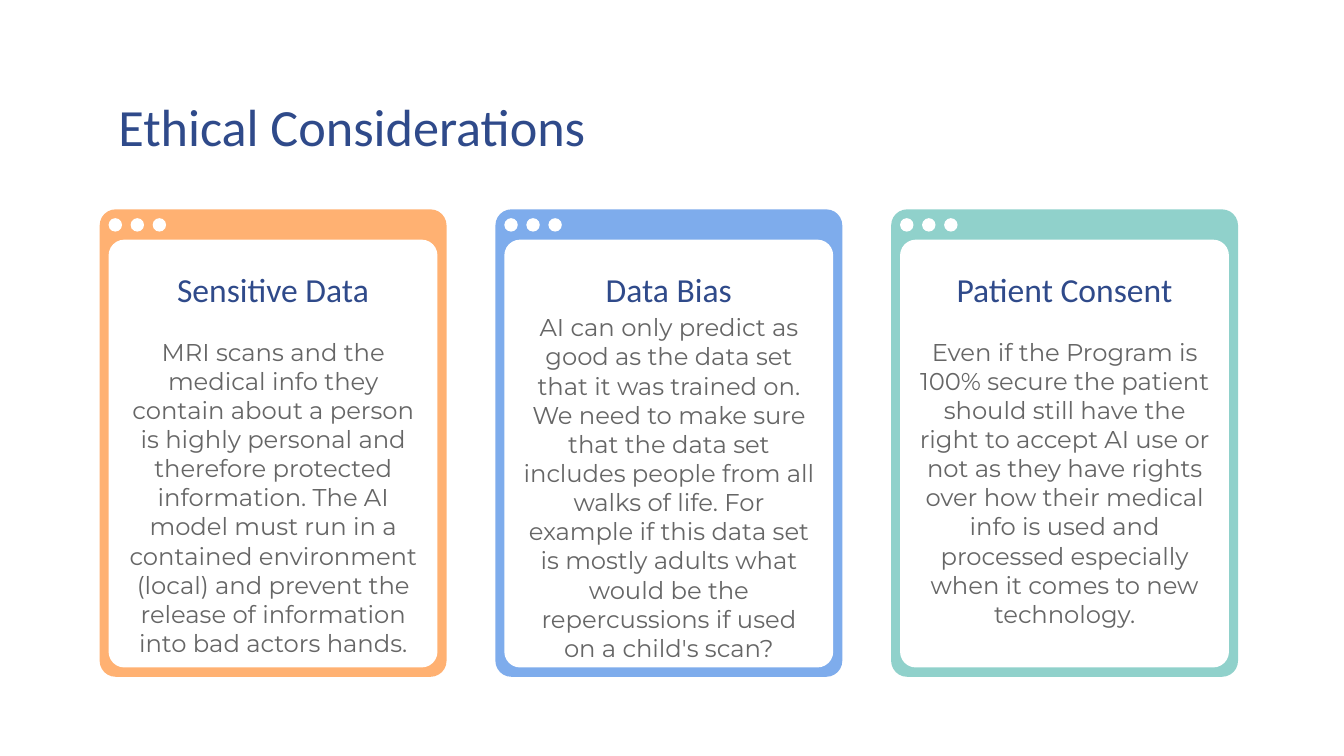
from pptx import Presentation
from pptx.dml.color import RGBColor
from pptx.enum.shapes import MSO_SHAPE as Shape
from pptx.enum.text import MSO_ANCHOR as Anchor, MSO_AUTO_SIZE as AutoSize, PP_ALIGN as Align
from pptx.util import Pt

NAVY = RGBColor(0x2F, 0x4A, 0x8A)
GREY = RGBColor(0x66, 0x66, 0x66)
WHITE = RGBColor(0xFF, 0xFF, 0xFF)
ORANGE = RGBColor(0xFF, 0xB1, 0x72)
BLUE = RGBColor(0x7E, 0xAC, 0xEC)
TEAL = RGBColor(0x90, 0xD1, 0xCB)

HEADING_FONT = "Calibri"
BODY_FONT = "Montserrat"

# Each card: frame colour, heading, body, distance from card top to body box
CARDS = [
    (ORANGE, "Sensitive Data",
     "MRI scans and the medical info they contain about a person is highly "
     "personal and therefore protected information. The AI model must run in "
     "a contained environment (local) and prevent the release of information "
     "into bad actors hands.", 61),
    (BLUE, "Data Bias",
     "AI can only predict as good as the data set that it was trained on. We "
     "need to make sure that the data set includes people from all walks of "
     "life. For example if this data set is mostly adults what would be the "
     "repercussions if used on a child's scan?", 48),
    (TEAL, "Patient Consent",
     "Even if the Program is 100% secure the patient should still have the "
     "right to accept AI use or not as they have rights over how their medical "
     "info is used and processed especially when it comes to new technology.", 61),
]
CARD_LEFT, CARD_TOP, CARD_WIDTH, CARD_HEIGHT = 53.4, 112.2, 185.8, 250.4
CARD_STEP = 212


def write(box, text, font, size, color, align):
    frame = box.text_frame
    frame.word_wrap = True
    frame.auto_size = AutoSize.NONE
    frame.vertical_anchor = Anchor.TOP
    frame.margin_left = frame.margin_right = Pt(7.2)
    frame.margin_top = frame.margin_bottom = Pt(7.2)
    frame.text = text
    para = frame.paragraphs[0]
    para.alignment = align
    span = para.runs[0].font
    span.name, span.size, span.color.rgb = font, Pt(size), color
    return para


def add_filled(page, kind, left, top, width, height, color):
    shape = page.shapes.add_shape(kind, Pt(left), Pt(top), Pt(width), Pt(height))
    shape.shadow.inherit = False
    shape.fill.solid()
    shape.fill.fore_color.rgb = color
    shape.line.fill.background()
    return shape


def add_title(page, left, top, width, height):
    title = page.shapes.title
    title.left, title.top = Pt(left), Pt(top)
    title.width, title.height = Pt(width), Pt(height)
    write(title, "Ethical Considerations", HEADING_FONT, 28, NAVY, Align.LEFT)


def add_card(page, left, top, width, height, color, heading, body, body_offset):
    # Window frame and white pane
    frame = add_filled(page, Shape.ROUNDED_RECTANGLE, left, top, width, height, color)
    frame.adjustments[0] = 0.046
    pane = add_filled(page, Shape.ROUNDED_RECTANGLE, left + 4.8, top + 16.2,
                      width - 9.6, height - 21.2, WHITE)
    pane.adjustments[0] = 0.048

    # Three window buttons
    for index in range(3):
        add_filled(page, Shape.OVAL, left + 4.8 + index * 11.8, top + 4.7, 7.2, 7.2, WHITE)

    # Heading and body text
    text_left, text_width = left + 7.6, width - 15.2
    heading_box = page.shapes.add_textbox(Pt(text_left), Pt(top + 24.6),
                                          Pt(text_width), Pt(36.7))
    write(heading_box, heading, HEADING_FONT, 18, NAVY, Align.CENTER)
    body_box = page.shapes.add_textbox(Pt(text_left), Pt(top + body_offset),
                                       Pt(text_width), Pt(height - body_offset - 7))
    para = write(body_box, body, BODY_FONT, 13, GREY, Align.CENTER)
    para.space_after = Pt(12)


def main():
    deck = Presentation()
    deck.slide_width, deck.slide_height = Pt(720), Pt(405)
    page = deck.slides.add_slide(deck.slide_layouts.get_by_name("Title Only"))
    add_title(page, 56.2, 43.2, 607.6, 36.7)
    for index, card in enumerate(CARDS):
        add_card(page, CARD_LEFT + index * CARD_STEP, CARD_TOP, CARD_WIDTH, CARD_HEIGHT, *card)
    deck.save("out.pptx")


if __name__ == "__main__":
    main()
